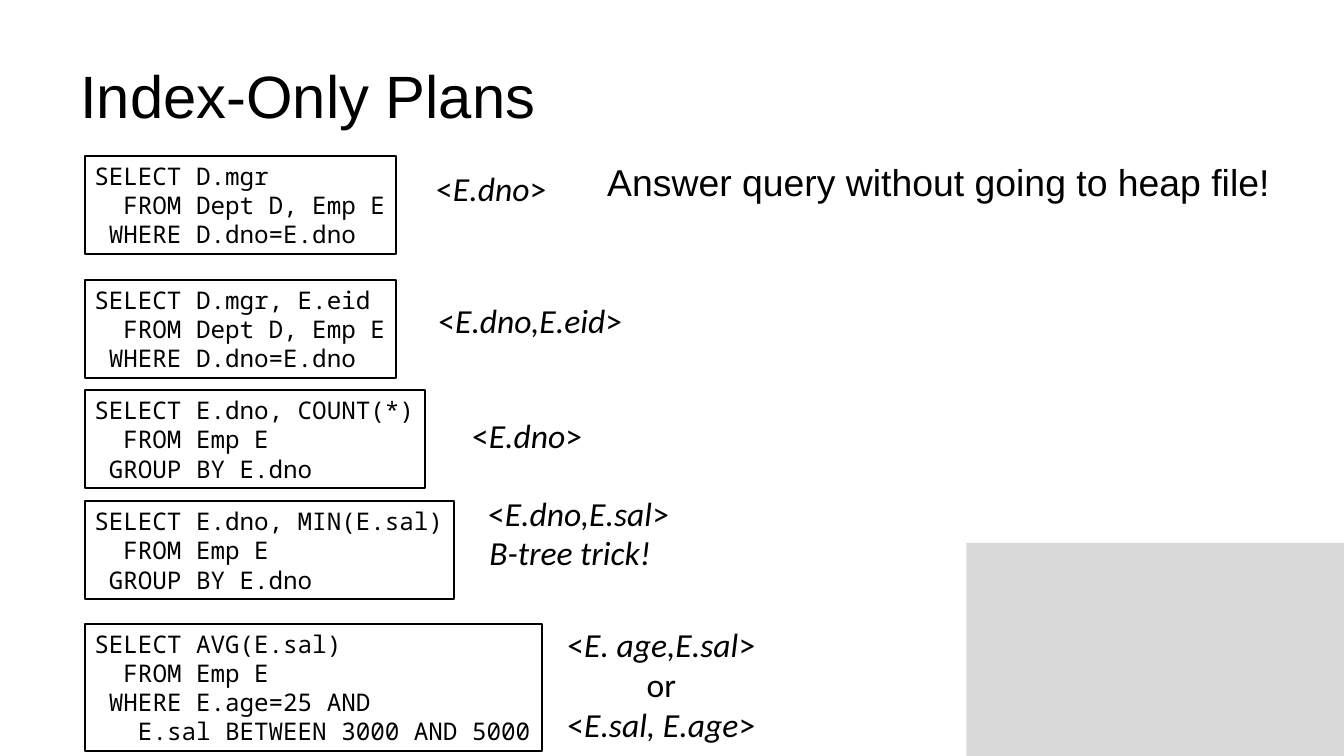
from pptx import Presentation
from pptx.util import Pt
from pptx.dml.color import RGBColor as RGB
from pptx.enum.shapes import MSO_SHAPE as Shape
from pptx.enum.text import MSO_ANCHOR as Anchor, MSO_AUTO_SIZE as Fit, PP_ALIGN as Align

THEME = {
    "ink": RGB(0, 0, 0),
    "gray": RGB(0xD9, 0xD9, 0xD9),
    "title": ("Arial", 32),
    "body": ("Arial", 20),
    "code": ("Noto Sans Mono", 13),
    "key": ("Calibri", 18),
}


def key(name):
    return [("<", False), (name, True), (">", False)]


TITLE = "Index-Only Plans"
CLAIM = "Answer query without going to heap file!"
PLANS = [
    (83.5, ["SELECT D.mgr", "  FROM Dept D, Emp E", " WHERE D.dno=E.dno"],
     [(228.5, 87.1, 70.6, [key("E.dno")])]),
    (149.8, ["SELECT D.mgr, E.eid", "  FROM Dept D, Emp E", " WHERE D.dno=E.dno"],
     [(229.7, 157.7, 110.2, [key("E.dno,E.eid")])]),
    (209, ["SELECT E.dno, COUNT(*)", "  FROM Emp E", " GROUP BY E.dno"],
     [(247.7, 219.6, 70.6, [key("E.dno")])]),
    (268.5, ["SELECT E.dno, MIN(E.sal)", "  FROM Emp E", " GROUP BY E.dno"],
     [(256.3, 261.4, 108.7, [key("E.dno,E.sal")]),
      (257, 282.2, 97.9, [[("B-tree trick!", True)]])]),
    (334.2, ["SELECT AVG(E.sal)", "  FROM Emp E", " WHERE E.age=25 AND",
             "   E.sal BETWEEN 3000 AND 5000"],
     [(298.8, 331.2, 112.3,
       [key("E. age,E.sal"), [("or", False)], key("E.sal, E.age")])]),
]
LEFT = 45.4
PAD_X, PAD_Y = 5.2, 2.9
CHAR = 7.82
CODE_LINE, KEY_LINE = 15.6, 21.6


def write(shape, lines, style):
    font, size = THEME[style]
    frame = shape.text_frame
    for i, runs in enumerate(lines):
        para = frame.add_paragraph() if i else frame.paragraphs[0]
        para.alignment = Align.CENTER if runs[0][0] == "or" else Align.LEFT
        for text, slant in runs:
            run = para.add_run()
            run.text = text
            run.font.name = font
            run.font.size = Pt(size)
            run.font.italic = slant
            run.font.color.rgb = THEME["ink"]


def hug(shape):
    frame = shape.text_frame
    frame.margin_left = frame.margin_right = Pt(PAD_X)
    frame.margin_top = frame.margin_bottom = Pt(PAD_Y)
    frame.vertical_anchor = Anchor.TOP
    frame.word_wrap = False
    frame.auto_size = Fit.SHAPE_TO_FIT_TEXT


def add_text(shapes, spot, text, style, anchor):
    box = shapes.add_textbox(*map(Pt, spot))
    box.text_frame.word_wrap = True
    box.text_frame.vertical_anchor = anchor
    write(box, [[(text, False)]], style)


def add_plan(shapes, top, code, keys):
    group = shapes.add_group_shape().shapes
    wide = max(map(len, code)) * CHAR + 2 * PAD_X
    high = len(code) * CODE_LINE + 2 * PAD_Y
    box = group.add_shape(Shape.RECTANGLE, *map(Pt, (LEFT, top, wide, high)))
    box.shadow.inherit = False
    box.fill.background()
    box.line.color.rgb = THEME["ink"]
    box.line.width = Pt(1)
    hug(box)
    write(box, [[(line, False)] for line in code], "code")
    for x, y, width, lines in keys:
        high = len(lines) * KEY_LINE + 2 * PAD_Y
        label = group.add_textbox(*map(Pt, (x, y, width, high)))
        hug(label)
        write(label, lines, "key")


def main():
    deck = Presentation()
    deck.slide_width, deck.slide_height = Pt(720), Pt(405)
    shapes = deck.slides.add_slide(deck.slide_layouts[6]).shapes
    panel = shapes.add_shape(Shape.RECTANGLE, *map(Pt, (517.7, 290.9, 202.3, 114.1)))
    panel.shadow.inherit = False
    panel.fill.solid()
    panel.fill.fore_color.rgb = THEME["gray"]
    panel.line.fill.background()
    add_text(shapes, (36, 16.6, 648, 67.7), TITLE, "title", Anchor.MIDDLE)
    add_text(shapes, (318.2, 81.5, 648, 267), CLAIM, "body", Anchor.TOP)
    for plan in PLANS:
        add_plan(shapes, *plan)
    deck.save("out.pptx")


if __name__ == "__main__":
    main()
